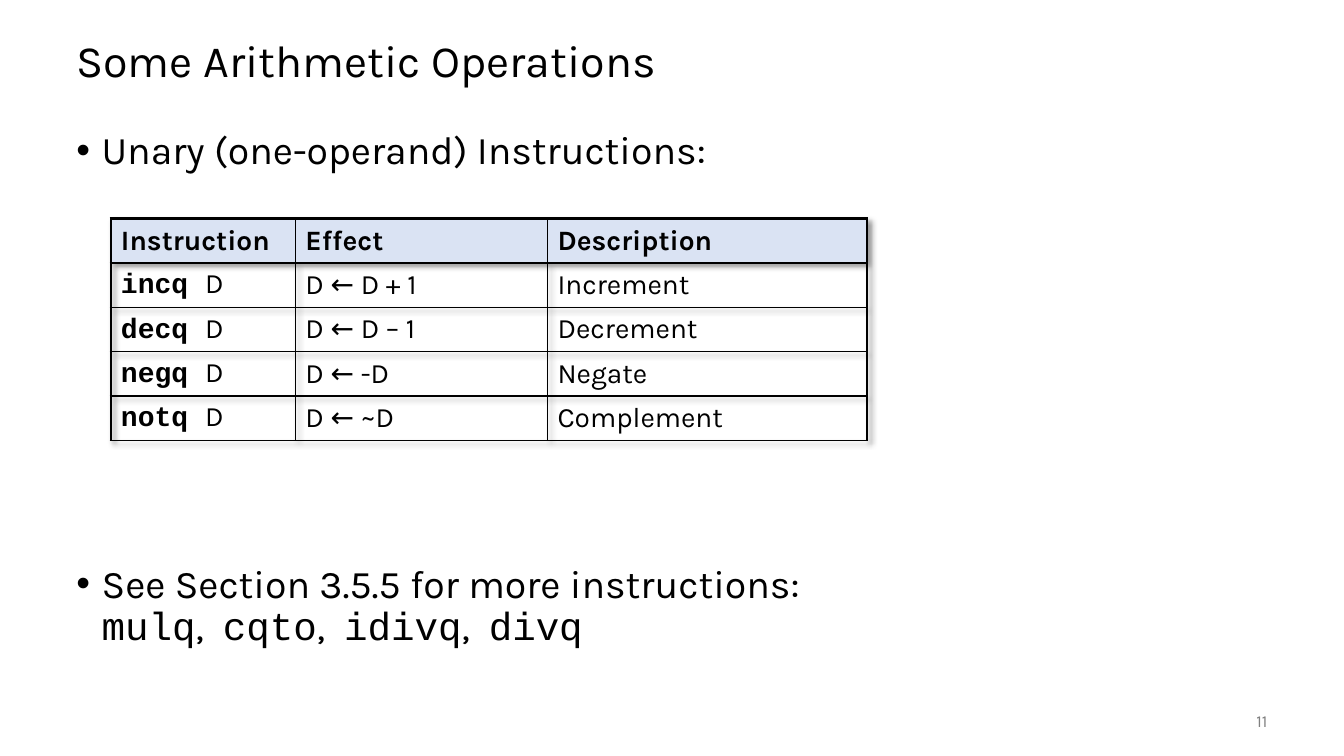
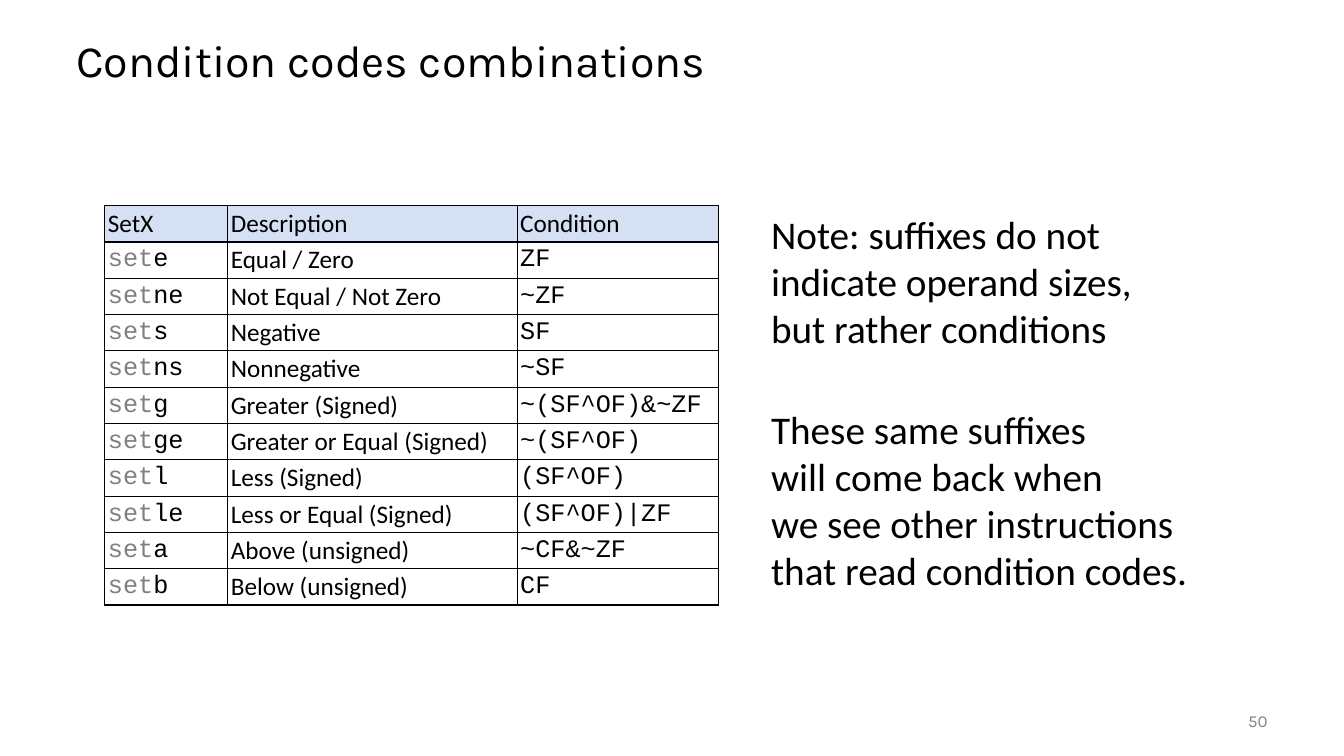
from lxml import etree
from pptx import Presentation
from pptx.dml.color import RGBColor
from pptx.enum.text import MSO_ANCHOR, PP_ALIGN
from pptx.oxml.ns import qn
from pptx.util import Inches, Pt

TOP, MIDDLE = MSO_ANCHOR.TOP, MSO_ANCHOR.MIDDLE
LEFT, RIGHT = PP_ALIGN.LEFT, PP_ALIGN.RIGHT
BLANK_LAYOUT = 6

BLACK, GRAY = "000000", "808080"
KARLA, CALIBRI, COURIER = "Karla", "Calibri", "Courier New"


def rgb(color):
    return RGBColor.from_string(color)


def add_node(parent, tag, **values):
    return etree.SubElement(parent, qn(tag), {key: str(value) for key, value in values.items()})


class SlideWriter:
    title_style = {"name": KARLA, "size": Pt(32)}
    body_style = {"name": KARLA, "size": Pt(28)}
    note_style = {"name": CALIBRI, "size": Pt(28)}
    number_style = {"name": KARLA, "size": Pt(12), "color": GRAY}

    def __init__(self):
        self.deck = Presentation()
        self.deck.slide_width = Inches(13.33)
        self.deck.slide_height = Inches(7.5)
        self.page = None

    def new_page(self, title, number):
        self.page = self.deck.slides.add_slide(self.deck.slide_layouts[BLANK_LAYOUT])
        self.text(0.66, 0.25, 12, 0.75, [title], self.title_style, anchor=MIDDLE, spacing=0.9)
        self.text(11.67, 6.95, 1, 0.4, [number], self.number_style, anchor=MIDDLE, align=RIGHT)

    def fill_para(self, para, content, style):
        spans = [(content, {})] if isinstance(content, str) else content
        for text, changes in spans:
            for index, line in enumerate(text.split("\n")):
                if index:
                    para.add_line_break()
                if line:
                    self.add_span(para, line, {"color": BLACK, **style, **changes})

    def add_span(self, para, text, style):
        span = para.add_run()
        span.text = text
        for key, value in style.items():
            if key == "color":
                span.font.color.rgb = rgb(value)
            elif key == "tracking":
                span.font._element.set("spc", str(value))
            else:
                setattr(span.font, key, value)

    def text(self, left, top, width, height, contents, style,
             anchor=TOP, align=LEFT, spacing=1.0, bullet=False):
        box = self.page.shapes.add_textbox(Inches(left), Inches(top), Inches(width), Inches(height))
        frame = box.text_frame
        frame.word_wrap = True
        frame.vertical_anchor = anchor
        for index, content in enumerate(contents):
            para = frame.add_paragraph() if index else frame.paragraphs[0]
            if bullet:
                properties = para._p.get_or_add_pPr()
                properties.set("marL", str(Inches(0.25)))
                properties.set("indent", str(Inches(-0.25)))
                add_node(properties, "a:buFont", typeface="Arial")
                add_node(properties, "a:buChar", char="•")
            para.alignment = align
            para.line_spacing = spacing
            self.fill_para(para, content, style)

    def bullet(self, top, height, content):
        self.text(0.66, top, 12, height, [content], self.body_style, spacing=0.9, bullet=True)

    def set_borders(self, cell, widths):
        properties = cell._tc.get_or_add_tcPr()
        for index, (side, width) in enumerate(zip("LRTB", widths)):
            line = add_node(properties, "a:ln" + side, w=Pt(width))
            add_node(add_node(line, "a:solidFill"), "a:srgbClr", val=BLACK)
            properties.insert(index, line)

    def add_shadow(self, table):
        properties = table._tbl.tblPr
        effects = add_node(properties, "a:effectLst")
        shadow = add_node(effects, "a:outerShdw", blurRad=Pt(4), dist=Pt(3), dir=2700000)
        add_node(add_node(shadow, "a:srgbClr", val=BLACK), "a:alpha", val=40000)
        properties.insert(0, effects)

    def table(self, left, top, widths, row_height, rows, style, header_style,
              header_fill, margins, outer=1, shadow=False):
        frame = self.page.shapes.add_table(
            len(rows), len(widths), Inches(left), Inches(top),
            Inches(sum(widths)), Inches(row_height * len(rows)))
        table = frame.table
        table.first_row = table.horz_banding = False
        for column, width in zip(table.columns, widths):
            column.width = Inches(width)
        for row_index, contents in enumerate(rows):
            table.rows[row_index].height = Inches(row_height)
            for column_index, content in enumerate(contents):
                cell = table.cell(row_index, column_index)
                cell.vertical_anchor = MIDDLE
                cell.margin_left = cell.margin_right = Inches(margins[0])
                cell.margin_top = cell.margin_bottom = Inches(margins[1])
                if row_index == 0:
                    cell.fill.solid()
                    cell.fill.fore_color.rgb = rgb(header_fill)
                else:
                    cell.fill.background()
                edges = (column_index == 0, column_index == len(widths) - 1, row_index == 0, False)
                self.set_borders(cell, [outer if edge else 1 for edge in edges])
                self.fill_para(cell.text_frame.paragraphs[0], content,
                               style if row_index else header_style)
        if shadow:
            self.add_shadow(table)


def arithmetic_page(writer):
    writer.new_page("Some Arithmetic Operations", "11")
    writer.bullet(1.25, 0.6, "Unary (one-operand) Instructions:")

    operations = [
        ("incq", "D ← D + 1", "Increment"),
        ("decq", "D ← D – 1", "Decrement"),
        ("negq", "D ← -D", "Negate"),
        ("notq", "D ← ~D", "Complement"),
    ]
    mnemonic = {"name": COURIER, "bold": True}
    rows = [("Instruction", "Effect", "Description")]
    rows += [([(name + " ", mnemonic), ("D", {})], effect, description)
             for name, effect, description in operations]
    style = {"name": KARLA, "size": Pt(20), "bold": False}
    writer.table(1.1, 2.17, [1.83, 2.5, 3.17], 0.44, rows, style, {**style, "bold": True},
                 "DAE3F3", (0.1, 0.05), outer=2.25, shadow=True)

    spans = [("See Section 3.5.5 for more instructions:\n", {})]
    for index, name in enumerate(["mulq", "cqto", "idivq", "divq"]):
        if index:
            spans.append((", ", {"tracking": 350}))
        spans.append((name, {"name": COURIER}))
    writer.bullet(5.55, 1.1, spans)


def conditions_page(writer):
    writer.new_page("Condition codes combinations", "50")

    conditions = [
        ("e", "Equal / Zero", "ZF"),
        ("ne", "Not Equal / Not Zero", "~ZF"),
        ("s", "Negative", "SF"),
        ("ns", "Nonnegative", "~SF"),
        ("g", "Greater (Signed)", "~(SF^OF)&~ZF"),
        ("ge", "Greater or Equal (Signed)", "~(SF^OF)"),
        ("l", "Less (Signed)", "(SF^OF)"),
        ("le", "Less or Equal (Signed)", "(SF^OF)|ZF"),
        ("a", "Above (unsigned)", "~CF&~ZF"),
        ("b", "Below (unsigned)", "CF"),
    ]
    code = {"name": COURIER}
    rows = [("SetX", "Description", "Condition")]
    rows += [([("set", {**code, "color": GRAY}), (suffix, code)], description, [(condition, code)])
             for suffix, description, condition in conditions]
    style = {"name": CALIBRI, "size": Pt(18)}
    writer.table(1.04, 2.04, [1.22, 2.87, 2], 0.36, rows, style, style, "D6E0F5", (0.03, 0.03))

    writer.text(7.55, 2.04, 4.6, 1.51, [
        "Note: suffixes do not",
        "indicate operand sizes,",
        "but rather conditions",
    ], writer.note_style)
    writer.text(7.55, 3.97, 4.6, 1.99, [
        "These same suffixes",
        "will come back when\nwe see other instructions",
        "that read condition codes.",
    ], writer.note_style)


def main():
    writer = SlideWriter()
    arithmetic_page(writer)
    conditions_page(writer)
    writer.deck.save("out.pptx")


if __name__ == "__main__":
    main()
